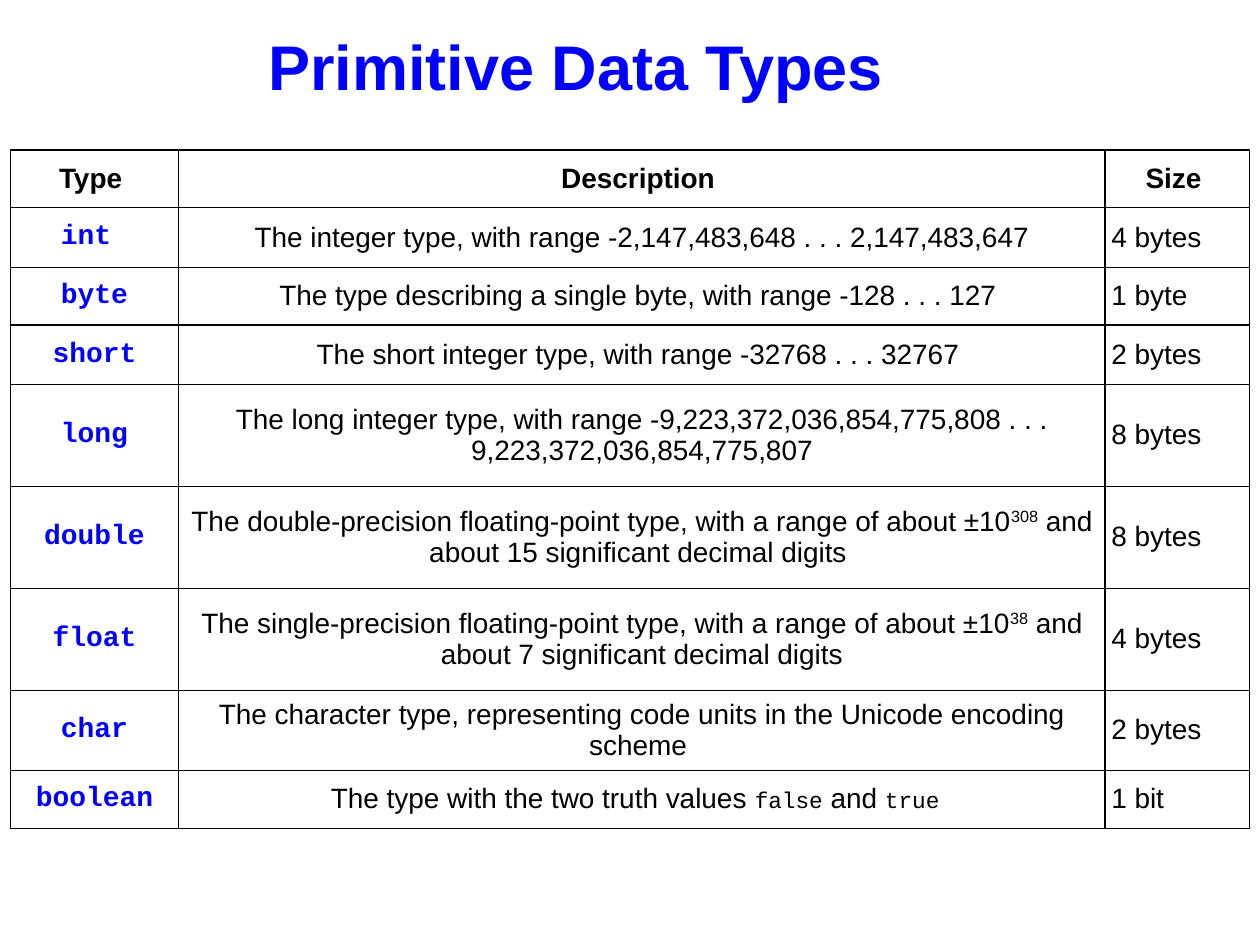
from lxml.etree import SubElement
from pptx import Presentation
from pptx.dml.color import RGBColor
from pptx.enum.text import MSO_ANCHOR as Anchor, MSO_AUTO_SIZE as AutoSize, PP_ALIGN as Align
from pptx.oxml.ns import qn
from pptx.util import Inches, Pt

COLORS = {"text": "000000", "accent": "0000FF", "paper": "FFFFFF"}
SANS, MONO = "Arial", "Courier New"
INSET = Inches(0.05)
COLUMN_WIDTHS = [1.34, 7.35, 1.15]
ROW_HEIGHTS = [0.46, 0.47, 0.46, 0.47, 0.81, 0.81, 0.81, 0.63, 0.46]
HEADERS = ["Type ", "Description ", "Size "]
TYPES = [
    ("int ", ["The integer type, with range -2,147,483,648 . . . 2,147,483,647"], "4 bytes"),
    ("byte", ["The type describing a single byte, with range -128 . . . 127 "], "1 byte"),
    ("short", ["The short integer type, with range -32768 . . . 32767 "], "2 bytes"),
    ("long", ["The long integer type, with range -9,223,372,036,854,775,808 . . . "
              "9,223,372,036,854,775,807"], "8 bytes"),
    ("double", ["The double-precision floating-point type, with a range of about ±10",
                ("308", "power"), " and about 15 significant decimal digits "], "8 bytes"),
    ("float", ["The single-precision floating-point type, with a range of about ±10",
               ("38", "power"), " and about 7 significant decimal digits"], "4 bytes"),
    ("char", ["The character type, representing code units in the Unicode encoding scheme "],
     "2 bytes"),
    ("boolean", ["The type with the two truth values ", ("false", "code"), " and ",
                 ("true ", "code")], "1 bit"),
]


def format_run(run, size=16, font=SANS, color="text", bold=False):
    run.font.size = Pt(size)
    run.font.name = font
    run.font.bold = bold
    run.font.color.rgb = RGBColor.from_string(COLORS[color])


def set_insets(target):
    target.margin_left = target.margin_right = INSET
    target.margin_top = target.margin_bottom = INSET


def add_borders(cell):
    properties = cell._tc.get_or_add_tcPr()
    for side in ("a:lnL", "a:lnR", "a:lnT", "a:lnB"):
        line = SubElement(properties, qn(side), w=str(Pt(0.75)))
        fill = SubElement(line, qn("a:solidFill"))
        SubElement(fill, qn("a:srgbClr"), val=COLORS["text"])


def fill_cell(cell, parts, align=Align.CENTER, **style):
    set_insets(cell)
    cell.vertical_anchor = Anchor.MIDDLE
    add_borders(cell)
    cell.fill.solid()
    cell.fill.fore_color.rgb = RGBColor.from_string(COLORS["paper"])
    paragraph = cell.text_frame.paragraphs[0]
    paragraph.alignment = align
    for part in parts:
        text, kind = (part, "plain") if isinstance(part, str) else part
        run = paragraph.add_run()
        run.text = text
        format_run(run, **style)
        if kind == "power":
            run._r.get_or_add_rPr().set("baseline", "30000")
        elif kind == "code":
            format_run(run, size=13, font=MONO)


def add_title(slide, text):
    title = slide.shapes.title
    title.left, title.top = Inches(2.08), Inches(0.17)
    title.width, title.height = Inches(6.5), Inches(0.67)
    frame = title.text_frame
    frame.text = text
    frame.word_wrap = True
    frame.auto_size = AutoSize.SHAPE_TO_FIT_TEXT
    frame.vertical_anchor = Anchor.TOP
    set_insets(frame)
    paragraph = frame.paragraphs[0]
    paragraph.alignment = Align.LEFT
    format_run(paragraph.runs[0], size=36, color="accent", bold=True)


def add_type_table(slide):
    table = slide.shapes.add_table(
        len(ROW_HEIGHTS), len(COLUMN_WIDTHS), Inches(0.08), Inches(1.19),
        Inches(sum(COLUMN_WIDTHS)), Inches(sum(ROW_HEIGHTS))).table
    table.first_row = table.horz_banding = False
    for column, width in zip(table.columns, COLUMN_WIDTHS):
        column.width = Inches(width)
    for row, height in zip(table.rows, ROW_HEIGHTS):
        row.height = Inches(height)
    for index, header in enumerate(HEADERS):
        fill_cell(table.cell(0, index), [header], bold=True)
    for index, (name, description, size) in enumerate(TYPES, start=1):
        fill_cell(table.cell(index, 0), [name], font=MONO, color="accent", bold=True)
        fill_cell(table.cell(index, 1), description)
        fill_cell(table.cell(index, 2), [size], align=Align.LEFT)


def main():
    presentation = Presentation()
    presentation.slide_width, presentation.slide_height = Inches(10), Inches(7.5)
    slide = presentation.slides.add_slide(presentation.slide_layouts[5])
    add_title(slide, "Primitive Data Types")
    add_type_table(slide)
    presentation.save("out.pptx")


if __name__ == "__main__":
    main()
